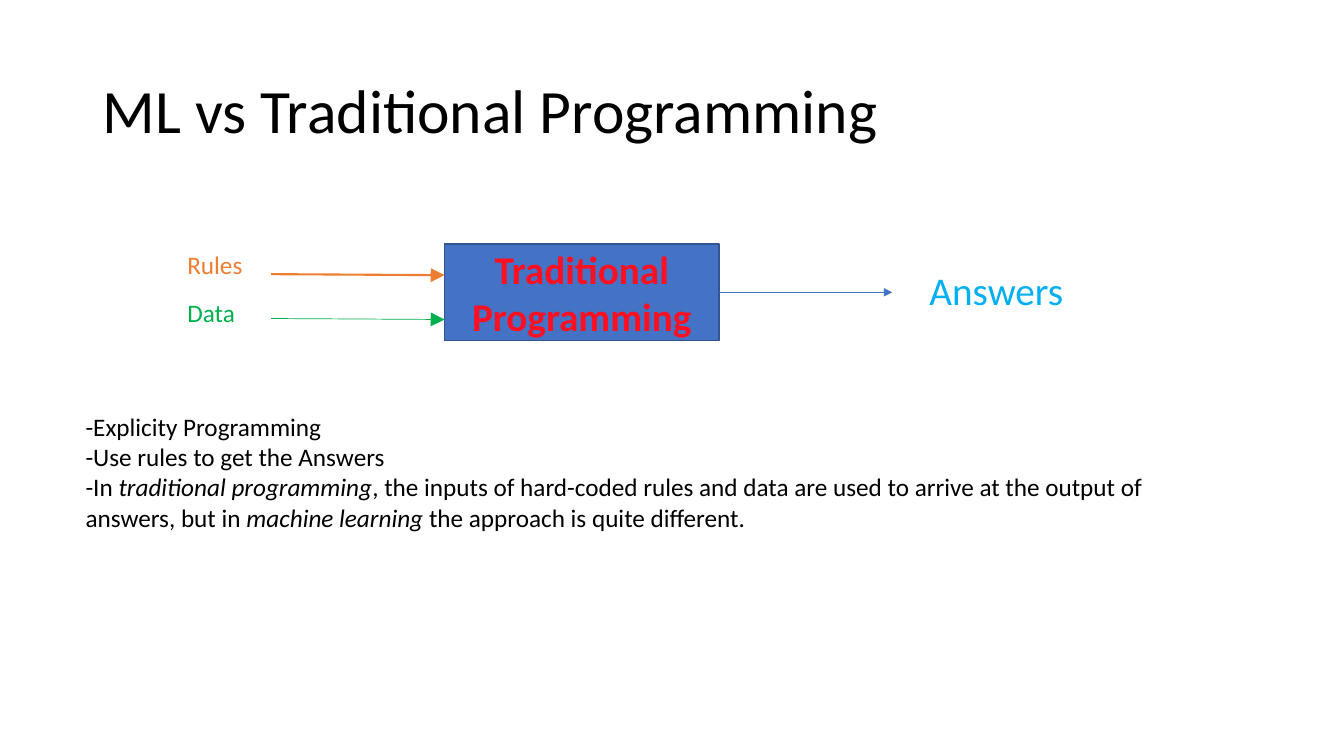
import lxml.etree
import pptx
import pptx.dml.color
import pptx.enum.shapes
import pptx.enum.text
import pptx.oxml.ns
import pptx.util

Inches = pptx.util.Inches
Pt = pptx.util.Pt
qn = pptx.oxml.ns.qn
ALIGN = pptx.enum.text.PP_ALIGN
ANCHOR = pptx.enum.text.MSO_ANCHOR

ORANGE, GREEN, BLUE = "ED7D31", "00B050", "4472C4"


def paint(color_format, value):
    color_format.rgb = pptx.dml.color.RGBColor.from_string(value)


def write(box, text, *, size=18, color="000000", bold=False, align=ALIGN.LEFT,
          anchor=ANCHOR.TOP, line_spacing=None):
    """Fill a box: one paragraph per line, with italics between asterisks."""
    frame = box.text_frame
    frame.word_wrap = True
    frame.vertical_anchor = anchor
    for index, line in enumerate(text.split("\n")):
        para = frame.add_paragraph() if index else frame.paragraphs[0]
        para.alignment = align
        para.line_spacing = line_spacing
        for position, part in enumerate(line.split("*")):
            span = para.add_run()
            span.text = part
            span.font.name = "Calibri"
            span.font.size = Pt(size)
            span.font.bold = bold
            span.font.italic = position % 2 == 1
            paint(span.font.color, color)


deck = pptx.Presentation()
deck.slide_width = Inches(13.33)
deck.slide_height = Inches(7.5)
page = deck.slides.add_slide(deck.slide_layouts[6])

# Title
title = page.shapes.add_textbox(Inches(0.92), Inches(0.4), Inches(11.5), Inches(1.45))
write(title, "ML vs Traditional Programming", size=44, anchor=ANCHOR.MIDDLE, line_spacing=0.9)

# Process block
block = page.shapes.add_shape(pptx.enum.shapes.MSO_SHAPE.RECTANGLE,
                              Inches(4.41), Inches(2.42), Inches(2.72), Inches(0.96))
block.shadow.inherit = False
block.fill.solid()
paint(block.fill.fore_color, BLUE)
paint(block.line.color, "325491")
block.line.width = Pt(1)
write(block, "Traditional Programming", size=28, color="FF0F21", bold=True,
      align=ALIGN.CENTER, anchor=ANCHOR.MIDDLE)

# Input and output arrows
arrows = [
    (2.69, 2.72, 4.41, 2.73, ORANGE, 1.5, "lg"),
    (2.69, 3.16, 4.41, 3.17, GREEN, 0.5, "lg"),
    (7.13, 2.9, 8.85, 2.9, BLUE, 0.5, "med"),
]
for x1, y1, x2, y2, color, width, head in arrows:
    arrow = page.shapes.add_connector(pptx.enum.shapes.MSO_CONNECTOR.STRAIGHT,
                                      Inches(x1), Inches(y1), Inches(x2), Inches(y2))
    paint(arrow.line.color, color)
    arrow.line.width = Pt(width)
    lxml.etree.SubElement(arrow.line._get_or_add_ln(), qn("a:tailEnd"),
                          type="triangle", w=head, len=head)
    lxml.etree.SubElement(arrow._element.spPr, qn("a:effectLst"))

# Input and output labels
labels = [
    ("Rules", 1.76, 2.42, 0.93, 0.4, 18, ORANGE),
    ("Data", 1.76, 2.9, 0.93, 0.4, 18, GREEN),
    ("Answers", 9.12, 2.59, 1.82, 0.57, 28, "00B0F0"),
]
for text, left, top, width, height, size, color in labels:
    label = page.shapes.add_textbox(Inches(left), Inches(top), Inches(width), Inches(height))
    write(label, text, size=size, color=color)

# Explanation
notes = page.shapes.add_textbox(Inches(0.75), Inches(4.03), Inches(11.33), Inches(1.92))
write(notes, "-Explicity Programming\n"
             "-Use rules to get the Answers\n"
             "-In *traditional programming*, the inputs of hard-coded rules and data are used "
             "to arrive at the output of answers, but in *machine learning* the approach is "
             "quite different.")

deck.save("out.pptx")
